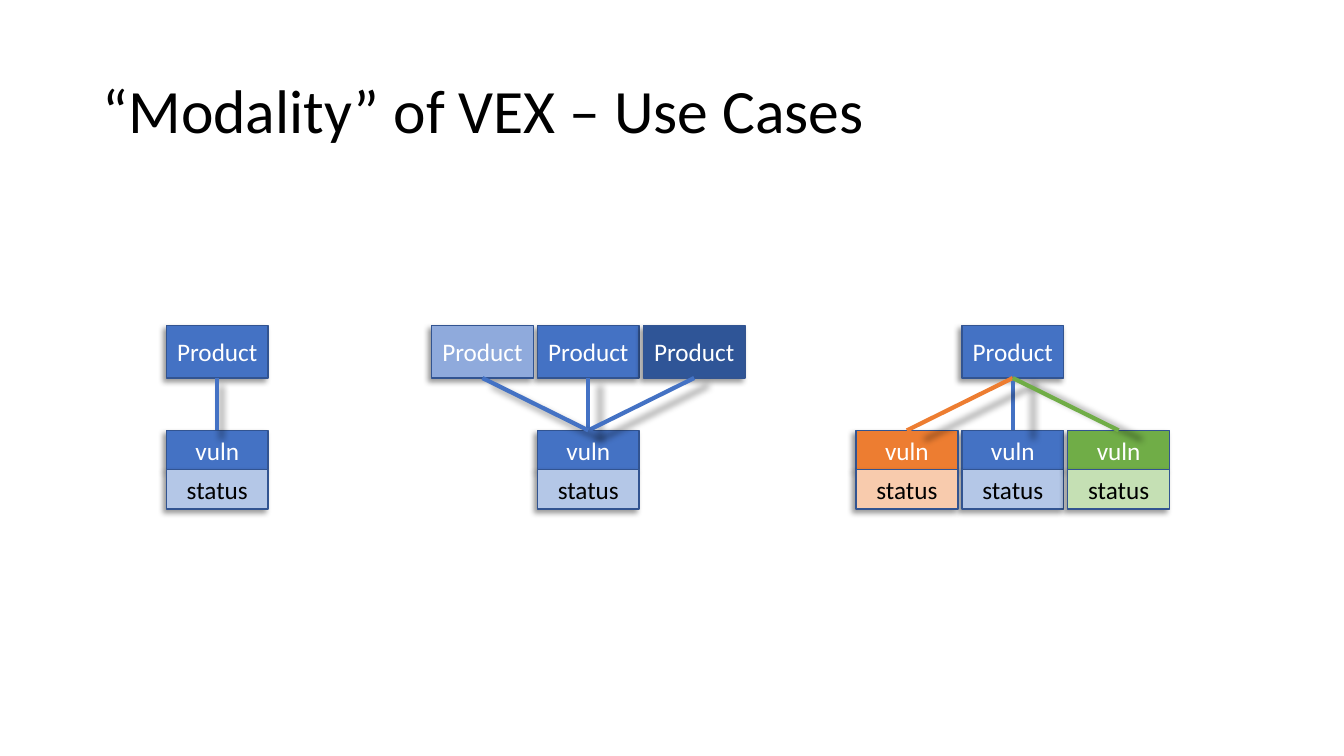
from dataclasses import dataclass

from lxml.etree import SubElement
from pptx import Presentation
from pptx.dml.color import RGBColor
from pptx.enum.shapes import MSO_CONNECTOR, MSO_SHAPE
from pptx.enum.text import MSO_ANCHOR, PP_ALIGN
from pptx.oxml.ns import qn
from pptx.util import Inches, Pt


@dataclass(frozen=True)
class Theme:
    font: str = "Calibri"
    title_size: int = 44
    label_size: int = 18
    black: str = "000000"
    white: str = "FFFFFF"
    border: str = "325491"
    blue: str = "4472C4"
    light_blue: str = "8FAADC"
    navy: str = "2F5597"
    pale_blue: str = "B4C7E7"
    orange: str = "ED7D31"
    pale_orange: str = "F8CBAD"
    green: str = "70AD47"
    pale_green: str = "C5E0B4"


BOX_WIDTH = 1.01
PITCH = 1.05
PRODUCT_TOP, PRODUCT_HEIGHT = 3.23, 0.52
VULN_TOP, ROW_HEIGHT = 4.27, 0.39


class Deck:
    def __init__(self, theme):
        self.theme = theme
        self.prs = Presentation()
        self.prs.slide_width = Inches(13.33)
        self.prs.slide_height = Inches(7.5)
        self.s = self.prs.slides.add_slide(self.prs.slide_layouts[6])

    def text(self, tf, text, size, color):
        tf.word_wrap = True
        tf.vertical_anchor = MSO_ANCHOR.MIDDLE
        p = tf.paragraphs[0]
        p.text = text
        font = p.runs[0].font
        font.name = self.theme.font
        font.size = Pt(size)
        font.color.rgb = RGBColor.from_string(color)
        return p

    def title(self, text):
        tb = self.s.shapes.add_textbox(Inches(0.92), Inches(0.4), Inches(11.5), Inches(1.45))
        p = self.text(tb.text_frame, text, self.theme.title_size, self.theme.black)
        p.line_spacing = 0.9

    def shadow(self, sp, **settings):
        effects = SubElement(sp._element.spPr, qn("a:effectLst"))
        outer = SubElement(effects, qn("a:outerShdw"), rotWithShape="0", **settings)
        color = SubElement(outer, qn("a:srgbClr"), val=self.theme.black)
        SubElement(color, qn("a:alpha"), val="40000")

    def box(self, group, left, top, height, text, fill, color):
        sp = group.shapes.add_shape(
            MSO_SHAPE.RECTANGLE, Inches(left), Inches(top), Inches(BOX_WIDTH), Inches(height)
        )
        sp.fill.solid()
        sp.fill.fore_color.rgb = RGBColor.from_string(fill)
        sp.line.color.rgb = RGBColor.from_string(self.theme.border)
        sp.line.width = Pt(1)
        self.shadow(sp, blurRad=str(Pt(4)), dist=str(Pt(3)), dir="8100000", algn="tr")
        tf = sp.text_frame
        tf.margin_left = tf.margin_right = Inches(0.05)
        self.text(tf, text, self.theme.label_size, color).alignment = PP_ALIGN.CENTER
        return sp

    def link(self, group, product, vuln, color):
        line = group.shapes.add_connector(
            MSO_CONNECTOR.STRAIGHT,
            product.left + product.width // 2,
            product.top + product.height,
            vuln.left + vuln.width // 2,
            vuln.top,
        )
        line.begin_connect(product, 2)
        line.end_connect(vuln, 0)
        line.line.color.rgb = RGBColor.from_string(color)
        line.line.width = Pt(3)
        self.shadow(line, blurRad=str(Pt(5)), sx="102000", sy="102000", algn="ctr")

    def use_case(self, left, products, vulns):
        t = self.theme
        group = self.s.shapes.add_group_shape()
        product_boxes = [
            self.box(group, left + slot * PITCH, PRODUCT_TOP, PRODUCT_HEIGHT, "Product", fill, t.white)
            for slot, fill in products
        ]
        for slot, fill, pale in vulns:
            x = left + slot * PITCH
            vuln = self.box(group, x, VULN_TOP, ROW_HEIGHT, "vuln", fill, t.white)
            self.box(group, x, VULN_TOP + ROW_HEIGHT, ROW_HEIGHT, "status", pale, t.black)
            for product in product_boxes:
                self.link(group, product, vuln, fill)


def main():
    t = Theme()
    deck = Deck(t)
    deck.title("“Modality” of VEX – Use Cases")
    deck.use_case(1.65, [(0, t.blue)], [(0, t.blue, t.pale_blue)])
    deck.use_case(
        4.28,
        [(1, t.blue), (2, t.navy), (0, t.light_blue)],
        [(1, t.blue, t.pale_blue)],
    )
    deck.use_case(
        8.49,
        [(1, t.blue)],
        [
            (1, t.blue, t.pale_blue),
            (0, t.orange, t.pale_orange),
            (2, t.green, t.pale_green),
        ],
    )
    deck.prs.save("out.pptx")


if __name__ == "__main__":
    main()
